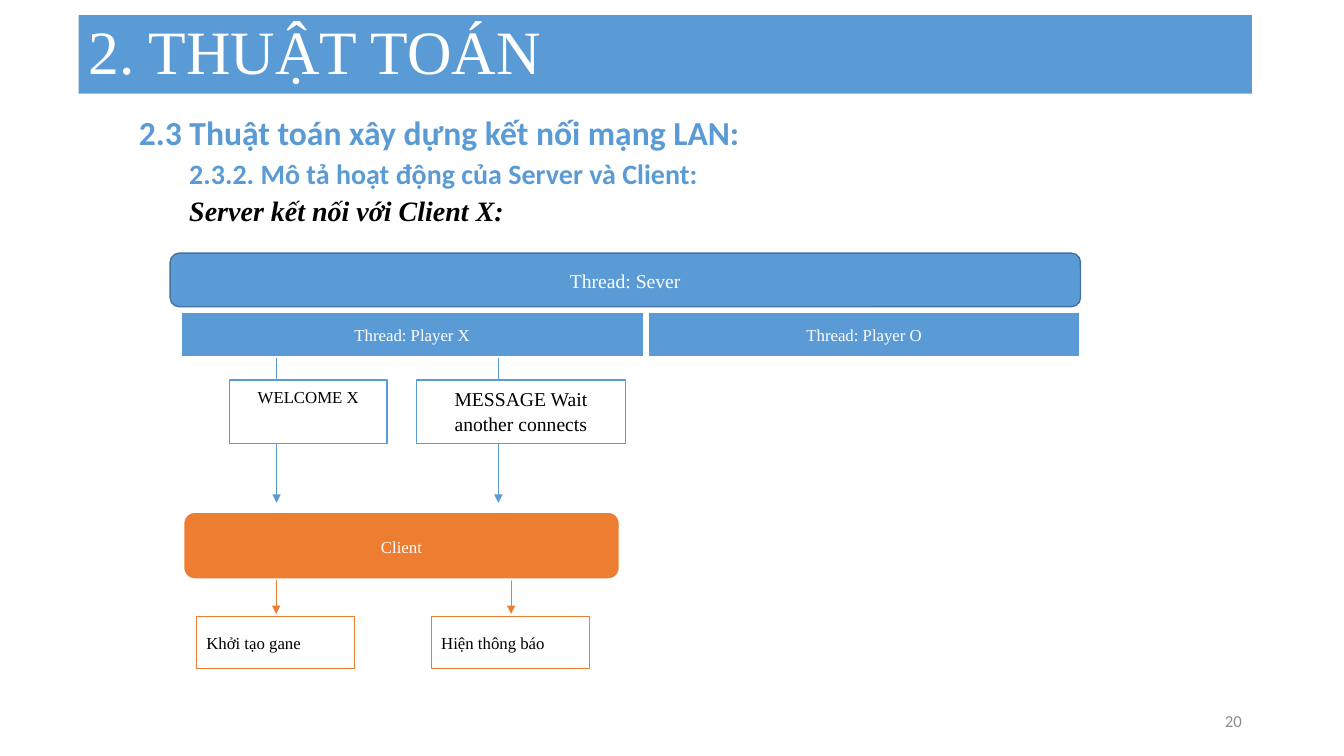
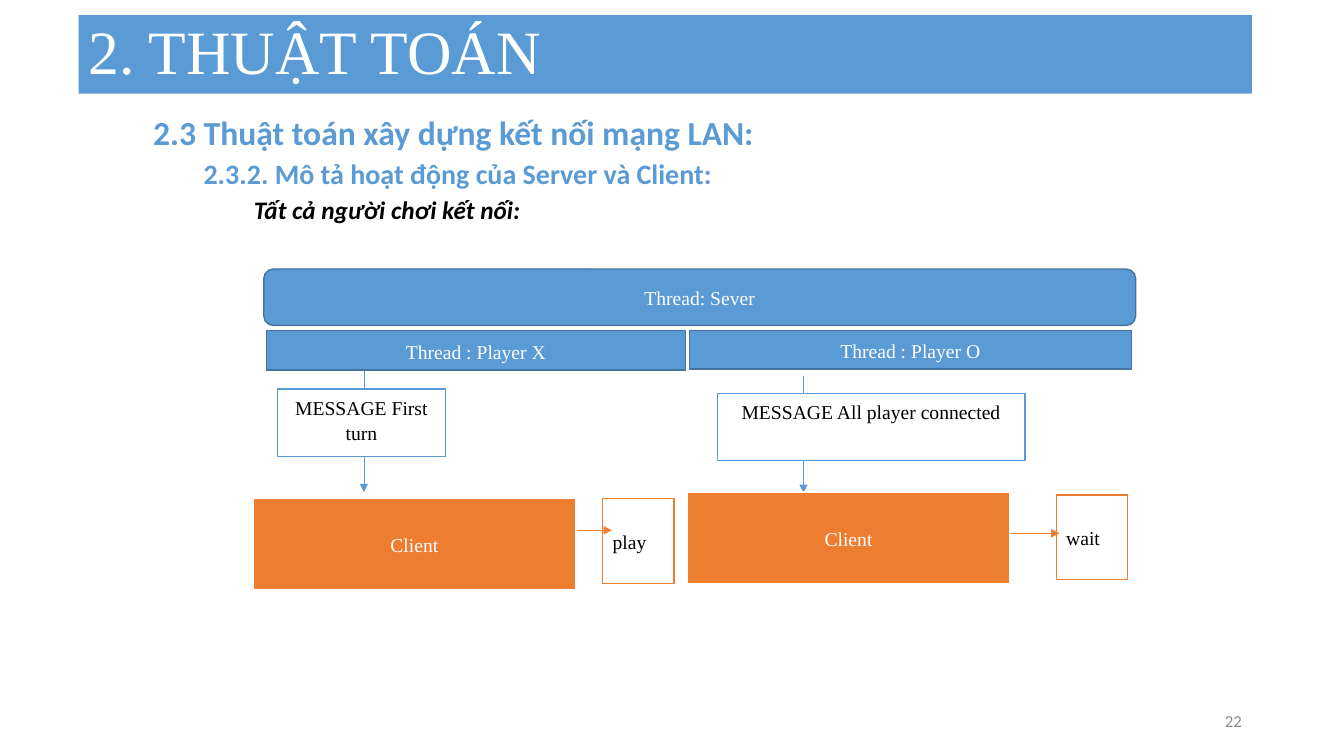
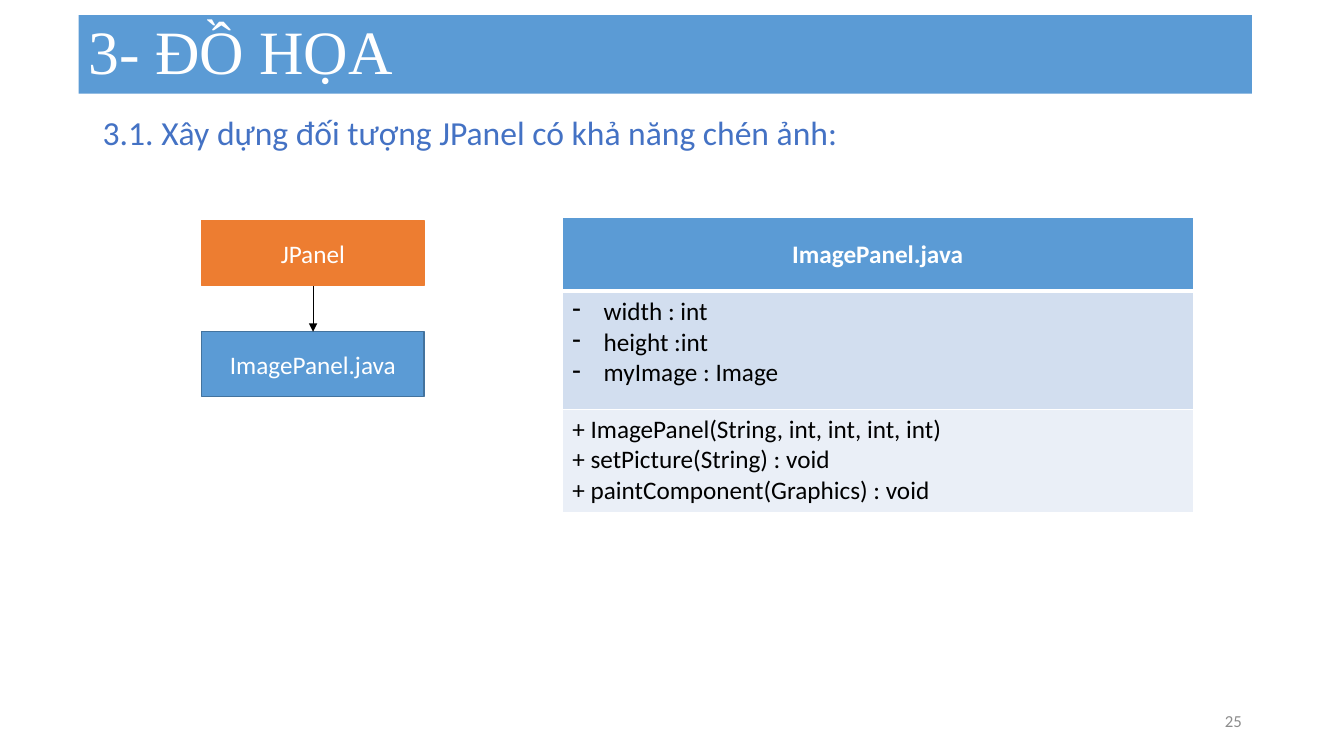
"""Three slides on the LAN connection algorithm and the image panel class."""
from lxml import etree
from pptx import Presentation
from pptx.dml.color import RGBColor
from pptx.enum import shapes, text
from pptx.oxml import ns
from pptx.util import Cm, Pt

COLORS = {
    "blue": "5B9BD5", "navy": "43739E", "royal": "4472C4", "orange": "ED7D31",
    "white": "FFFFFF", "black": "000000", "gray": "8C8C8C",
    "band_dark": "D2DEEF", "band_light": "EAEFF7",
}
SERIF, SANS = "Times New Roman", "Calibri"
RECT = shapes.MSO_SHAPE.RECTANGLE
ROUND = shapes.MSO_SHAPE.ROUNDED_RECTANGLE
LEFT, CENTER, RIGHT = text.PP_ALIGN.LEFT, text.PP_ALIGN.CENTER, text.PP_ALIGN.RIGHT
TOP, MIDDLE = text.MSO_ANCHOR.TOP, text.MSO_ANCHOR.MIDDLE

BOX_STYLES = {
    "server": (ROUND, "blue", "navy", 1, "white", CENTER, MIDDLE),
    "player": (RECT, "blue", "white", 1.5, "white", CENTER, MIDDLE),
    "outlined": (RECT, "blue", "navy", 1, "white", CENTER, MIDDLE),
    "round client": (ROUND, "orange", "white", 1.5, "white", CENTER, MIDDLE),
    "client": (RECT, "orange", "white", 1.5, "white", CENTER, MIDDLE),
    "parent": (RECT, "orange", "orange", 1, "white", CENTER, MIDDLE),
    "message": (RECT, "white", "blue", 1, "black", CENTER, TOP),
    "action": (RECT, "white", "orange", 1, "black", LEFT, MIDDLE),
}

LAN_HEADINGS = [
    ("2.3 Thuật toán xây dựng kết nối mạng LAN:", 1, 24, SANS, "blue", True, False),
    ("2.3.2. Mô tả hoạt động của Server và Client:", 2, 20, SANS, "blue", True, False),
]

SLIDES = [
    {
        "title": "2. THUẬT TOÁN", "number": "20", "body_left": 1.98, "font": SERIF,
        "body": LAN_HEADINGS + [
            ("Server kết nối với Client X:", 2, 20, SERIF, "black", True, True)],
        "parts": [
            ("server", "Thread: Sever", 14, 4.29, 6.38, 22.94, 1.35),
            ("arrow", "blue", 6.97, 8.56, 6.97, 12.67),
            ("arrow", "blue", 12.56, 8.56, 12.56, 12.67),
            ("message", "WELCOME X", 12, 5.79, 9.58, 3.96, 1.6),
            ("message", "MESSAGE Wait another connects", 14, 10.49, 9.58, 5.28, 1.6),
            ("arrow", "orange", 6.96, 13.08, 6.96, 15.47),
            ("arrow", "orange", 12.88, 13.08, 12.88, 15.47),
            ("action", "Khởi tạo gane", 12, 4.95, 15.54, 3.99, 1.3),
            ("action", "Hiện thông báo", 12, 10.87, 15.54, 3.99, 1.3),
            ("player", "Thread: Player X", 12, 4.55, 7.85, 11.68, 1.14),
            ("player", "Thread: Player O", 12, 16.33, 7.85, 10.9, 1.14),
            ("round client", "Client", 12, 4.62, 12.9, 11, 1.7),
        ],
    },
    {
        "title": "2. THUẬT TOÁN", "number": "22", "body_left": 2.34, "font": SERIF,
        "body": LAN_HEADINGS + [
            ("Tất cả người chơi kết nối:", 3, 18, SANS, "black", True, True)],
        "parts": [
            ("server", "Thread: Sever", 14, 6.65, 6.78, 21.97, 1.42),
            ("arrow", "blue", 9.17, 8.89, 9.17, 12.4),
            ("arrow", "blue", 20.25, 9.47, 20.25, 12.42),
            ("message", "MESSAGE First turn", 14, 6.99, 9.8, 4.24, 1.7),
            ("message", "MESSAGE All player connected", 14, 18.08, 9.91, 7.75, 1.7),
            ("action", "play", 14, 15.19, 12.57, 1.8, 2.13),
            ("action", "wait", 14, 26.62, 12.47, 1.8, 2.13),
            ("arrow", "orange", 13.61, 13.36, 15.42, 13.36),
            ("arrow", "orange", 24.89, 13.44, 26.7, 13.44),
            ("client", "Client", 14, 6.38, 12.55, 8.13, 2.31),
            ("client", "Client", 14, 17.32, 12.4, 8.13, 2.31),
            ("outlined", "Thread : Player X", 14, 6.71, 8.33, 10.57, 1),
            ("outlined", "Thread : Player O", 14, 17.37, 8.33, 11.15, 0.97),
        ],
    },
    {
        "title": "3- ĐỒ HỌA", "number": "25", "body_left": 2.34, "font": SANS,
        "body": [("3.1. Xây dựng đối tượng JPanel có khả năng chén ảnh:",
                  0, 24, SANS, "royal", False, False)],
        "parts": [
            ("parent", "JPanel", 18, 5.08, 5.56, 5.61, 1.63),
            ("outlined", "ImagePanel.java", 18, 5.08, 8.36, 5.61, 1.63),
            ("arrow", "black", 7.89, 7.21, 7.89, 8.36),
        ],
        "table": [
            (1.85, "blue", "white", ["ImagePanel.java"]),
            (2.97, "band_dark", "black", ["width : int", "height :int", "myImage : Image"]),
            (2.6, "band_light", "black", ["+ ImagePanel(String, int, int, int, int)",
                                          "+ setPicture(String) : void",
                                          "+ paintComponent(Graphics) : void"]),
        ],
    },
]


def rgb(name):
    return RGBColor.from_string(COLORS[name])


def add_text(para, words, size, font, color, bold=False, italic=False):
    span = para.add_run()
    span.text = words
    span.font.size, span.font.name = Pt(size), font
    span.font.bold, span.font.italic = bold, italic
    span.font.color.rgb = rgb(color)


def add_box(page, style, words, size, left, top, width, height, font, spacing=1.07):
    preset, fill, line, weight, ink, align, anchor = BOX_STYLES[style]
    box = page.shapes.add_shape(preset, Cm(left), Cm(top), Cm(width), Cm(height))
    box.shadow.inherit = False
    box.fill.solid()
    box.fill.fore_color.rgb = rgb(fill)
    box.line.color.rgb = rgb(line)
    box.line.width = Pt(weight)
    box.text_frame.word_wrap = True
    box.text_frame.vertical_anchor = anchor
    para = box.text_frame.paragraphs[0]
    para.alignment, para.line_spacing = align, spacing
    add_text(para, words, size, font, ink)
    return box


def add_arrow(page, color, x1, y1, x2, y2):
    arrow = page.shapes.add_connector(
        shapes.MSO_CONNECTOR.STRAIGHT, Cm(x1), Cm(y1), Cm(x2), Cm(y2))
    arrow.line.color.rgb = rgb(color)
    arrow.line.width = Pt(0.5)
    etree.SubElement(arrow.line._get_or_add_ln(), ns.qn("a:tailEnd"), type="triangle")
    etree.SubElement(arrow._element.spPr, ns.qn("a:effectLst"))


def add_text_box(page, left, top, width, height):
    box = page.shapes.add_textbox(Cm(left), Cm(top), Cm(width), Cm(height))
    box.text_frame.word_wrap = True
    return box.text_frame


def add_frame(page, title, number):
    band = add_box(page, "player", title, 44, 1.98, 0.38, 29.57, 1.98, SERIF, 0.9)
    band.line.fill.background()
    band.text_frame.paragraphs[0].alignment = LEFT
    footer = add_text_box(page, 23.93, 17.65, 7.62, 1.02)
    footer.vertical_anchor = MIDDLE
    footer.paragraphs[0].alignment = RIGHT
    add_text(footer.paragraphs[0], number, 12, SANS, "gray")


def add_body(page, left, headings):
    frame = add_text_box(page, left, 2.82, 29.21, 14.33)
    for index, (words, level, *look) in enumerate(headings):
        para = frame.add_paragraph() if index else frame.paragraphs[0]
        para._p.get_or_add_pPr().set("marL", str(Cm(1.27 * level)))
        para.line_spacing = 0.9
        if index:
            para.space_before = Pt(5)
        add_text(para, words, *look)


def add_border(cell, side, weight):
    line = etree.SubElement(cell._tc.get_or_add_tcPr(), ns.qn(f"a:ln{side}"), w=str(Pt(weight)))
    fill = etree.SubElement(line, ns.qn("a:solidFill"))
    etree.SubElement(fill, ns.qn("a:srgbClr"), val=COLORS["white"])


def add_class_table(page, rows):
    height = sum(row[0] for row in rows)
    table = page.shapes.add_table(
        len(rows), 1, Cm(14.17), Cm(5.49), Cm(15.9), Cm(height)).table
    table.first_row = table.horz_banding = False
    for index, (row_height, fill, ink, lines) in enumerate(rows):
        table.rows[index].height = Cm(row_height)
        cell = table.cell(index, 0)
        header, fields = index == 0, index == 1
        for side in "LRTB":
            thick = (header and side == "B") or (fields and side == "T")
            add_border(cell, side, 3 if thick else 1)
        cell.fill.solid()
        cell.fill.fore_color.rgb = rgb(fill)
        cell.vertical_anchor = MIDDLE if header else TOP
        for order, words in enumerate(lines):
            frame = cell.text_frame
            para = frame.add_paragraph() if order else frame.paragraphs[0]
            para.alignment = CENTER if header else LEFT
            if fields:
                props = para._p.get_or_add_pPr()
                props.set("marL", str(Cm(0.79)))
                props.set("indent", str(Cm(-0.79)))
                etree.SubElement(props, ns.qn("a:buChar"), char="-")
            add_text(para, words, 18, SANS, ink, header)


def main():
    deck = Presentation()
    deck.slide_width, deck.slide_height = Cm(33.87), Cm(19.05)
    for content in SLIDES:
        page = deck.slides.add_slide(deck.slide_layouts[6])
        add_frame(page, content["title"], content["number"])
        add_body(page, content["body_left"], content["body"])
        for kind, *details in content["parts"]:
            if kind == "arrow":
                add_arrow(page, *details)
            else:
                spacing = 1.07 if content["font"] == SERIF else 1
                add_box(page, kind, *details, content["font"], spacing)
        if "table" in content:
            add_class_table(page, content["table"])
    deck.save("out.pptx")


if __name__ == "__main__":
    main()
